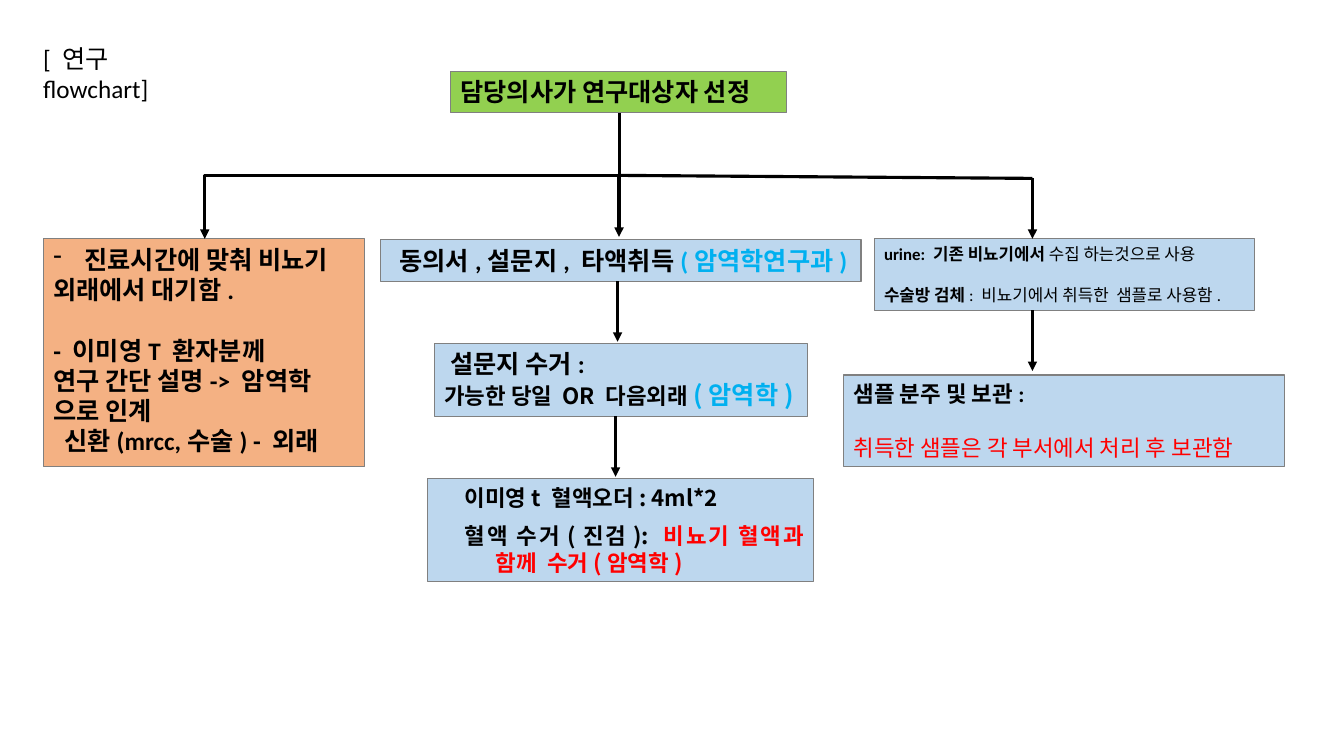
from dataclasses import dataclass

from lxml import etree
from pptx import Presentation
from pptx.dml.color import RGBColor
from pptx.enum import shapes, text
from pptx.oxml import ns
from pptx.util import Inches, Pt

BLACK = RGBColor(0x00, 0x00, 0x00)
GRAY = RGBColor(0x80, 0x80, 0x80)
RED = RGBColor(0xFF, 0x00, 0x00)
CYAN = RGBColor(0x00, 0xB0, 0xF0)
GREEN = RGBColor(0x92, 0xD0, 0x50)
ORANGE = RGBColor(0xF4, 0xB1, 0x83)
BLUE = RGBColor(0xBD, 0xD7, 0xEE)
LATIN = "Calibri"
KOREAN = "Noto Sans CJK KR"
LINE_HEIGHT = 1.22
STEP_GAP = 0.6  # length of the arrow between two steps


@dataclass
class Run:
    words: str
    size: int = 18
    color: RGBColor = BLACK
    bold: bool = True
    font: str = LATIN


@dataclass
class Para:
    runs: list
    align: text.PP_ALIGN = text.PP_ALIGN.LEFT
    before: float = 0
    after: float = 0
    margin: float = 0
    hanging: float = 0
    bullet: str = ""


def write(frame, paras):
    frame.word_wrap = True
    frame.vertical_anchor = text.MSO_ANCHOR.TOP
    for index, para in enumerate(paras):
        line = frame.add_paragraph() if index else frame.paragraphs[0]
        line.alignment = para.align
        line.space_before, line.space_after = Pt(para.before), Pt(para.after)
        props = line._p.get_or_add_pPr()
        props.set("marL", str(Inches(para.margin)))
        props.set("indent", str(-Inches(para.hanging)))
        if para.bullet:
            etree.SubElement(props, ns.qn("a:buChar")).set("char", para.bullet)
        for part in para.runs:
            run = line.add_run()
            run.text = part.words
            run.font.name, run.font.size = part.font, Pt(part.size)
            run.font.bold, run.font.color.rgb = part.bold, part.color
            east_asian = etree.SubElement(run._r.get_or_add_rPr(), ns.qn("a:ea"))
            east_asian.set("typeface", KOREAN)


def step(slide, left, top, width, height, fill, paras):
    box = slide.shapes.add_shape(shapes.MSO_SHAPE.RECTANGLE, Inches(left),
                                 Inches(top), Inches(width), Inches(height))
    box.shadow.inherit = False
    box.fill.solid()
    box.fill.fore_color.rgb = fill
    box.line.color.rgb, box.line.width = GRAY, Pt(0.75)
    write(box.text_frame, paras)
    box.text_frame.auto_size = text.MSO_AUTO_SIZE.SHAPE_TO_FIT_TEXT


def link(slide, start, end, arrow=True, kind=shapes.MSO_CONNECTOR.STRAIGHT):
    line = slide.shapes.add_connector(kind, *map(Inches, start + end))
    line.line.color.rgb, line.line.width = BLACK, Pt(2.25)
    if arrow:
        outline = line.line._get_or_add_ln()
        etree.SubElement(outline, ns.qn("a:tailEnd")).set("type", "triangle")
    etree.SubElement(line._element.spPr, ns.qn("a:effectLst"))
    return line


def down_arrow(slide, x, top, length=STEP_GAP):
    link(slide, (x, top), (x, top + length))


def down_elbow(slide, start, end):
    """Leave start downwards, cross over to the left, and enter end downwards."""
    across, drop = start[0] - end[0], end[1] - start[1]
    middle_x, middle_y = (start[0] + end[0]) / 2, (start[1] + end[1]) / 2
    line = link(slide, (middle_x - drop / 2, middle_y - across / 2),
                (middle_x + drop / 2, middle_y + across / 2),
                kind=shapes.MSO_CONNECTOR.ELBOW)
    line._element.spPr.find(ns.qn("a:xfrm")).set("rot", str(90 * 60000))


def heading(slide, left, top, width, height):
    label = slide.shapes.add_textbox(Inches(left), Inches(top),
                                     Inches(width), Inches(height))
    write(label.text_frame, [Para([Run("[ 연구 flowchart]", bold=False)])])


def selection(slide, left, top, width, height):
    step(slide, left, top, width, height, GREEN,
         [Para([Run("담당의사가 연구대상자 선정")])])


def waiting_branch(slide, left, top, width, height):
    step(slide, left, top, width, height, ORANGE, [
        Para([Run("진료시간에 맞춰 비뇨기")], margin=0.31, hanging=0.31, bullet="-"),
        Para([Run("외래에서 대기함.")]),
        Para([Run("- 이미영T 환자분께")], before=18 * LINE_HEIGHT),
        Para([Run("연구 간단 설명-> 암역학")]),
        Para([Run("으로 인계")]),
        Para([Run("신환(mrcc,수술) - 외래")], margin=0.11),
    ])


def consent_branch(slide, left, top, width):
    """Consent, survey pick-up and blood order, one below the other."""
    center = left + width / 2 - 0.03
    survey_top, blood_top = top + 1.03, top + 2.37
    step(slide, left, top, width, 0.41, BLUE, [
        Para([Run(" 동의서,설문지, 타액취득"), Run("(암역학연구과)", color=CYAN)],
             align=text.PP_ALIGN.CENTER)])
    down_arrow(slide, center, top + 0.41)
    step(slide, left + 0.54, survey_top, 3.7, 0.72, BLUE, [
        Para([Run(" 설문지 수거:")]),
        Para([Run("가능한 당일 OR 다음외래", 16, font=KOREAN),
              Run("(암역학)", color=CYAN, font=KOREAN)])])
    down_arrow(slide, center - 0.02, survey_top + 0.72)
    blood_lines = [
        [Run("이미영t 혈액오더: 4ml*2", 16, font=KOREAN)],
        [Run("혈액 수거(진검): ", 16, font=KOREAN),
         Run("비뇨기 혈액과 함께  수거(암역학)", 16, RED, font=KOREAN)]]
    step(slide, left + 0.47, blood_top, 3.83, 1.02, BLUE, [
        Para(runs, align=text.PP_ALIGN.JUSTIFY, after=8, margin=0.58, hanging=0.31)
        for runs in blood_lines])


def sample_branch(slide, left, top, width):
    """Specimen sources with sample storage below."""
    step(slide, left, top, width, 0.71, BLUE, [
        Para([Run("urine: 기존 비뇨기에서 ", 12),
              Run("수집 하는것으로 사용", 12, bold=False)]),
        Para([Run("수술방 검체", 12),
              Run(": 비뇨기에서 취득한  샘플로 사용함.", 12, bold=False)],
             before=12 * LINE_HEIGHT)])
    down_arrow(slide, left + 1.57, top + 0.71)
    step(slide, left - 0.3, top + 1.35, 4.37, 0.91, BLUE, [
        Para([Run("샘플 분주 및 보관:", 16)]),
        Para([Run("취득한 샘플은 각 부서에서 처리 후 보관함", 16, RED, False)],
             before=16 * LINE_HEIGHT)])


def fork(slide, trunk, top, bottom, left, right):
    """Split the trunk into three arrows that lead to the branches."""
    bend = top + 0.62
    down_elbow(slide, (trunk, top), (left, bottom))
    link(slide, (trunk, bend), (right, bend + 0.03), arrow=False)
    down_arrow(slide, trunk, bend, 0.61)
    down_arrow(slide, right, bend + 0.03)


def main():
    deck = Presentation()
    deck.slide_width, deck.slide_height = Inches(13.33), Inches(7.5)
    slide = deck.slides.add_slide(deck.slide_layouts[6])
    heading(slide, 0.33, 0.38, 1.96, 0.4)
    selection(slide, 4.47, 0.71, 3.33, 0.41)
    waiting_branch(slide, 0.43, 2.37, 3.19, 2.26)
    consent_branch(slide, 3.77, 2.38, 4.77)
    sample_branch(slide, 8.67, 2.37, 3.77)
    fork(slide, trunk=6.14, top=1.12, bottom=2.37, left=2.03, right=10.24)
    deck.save("out.pptx")


if __name__ == "__main__":
    main()
